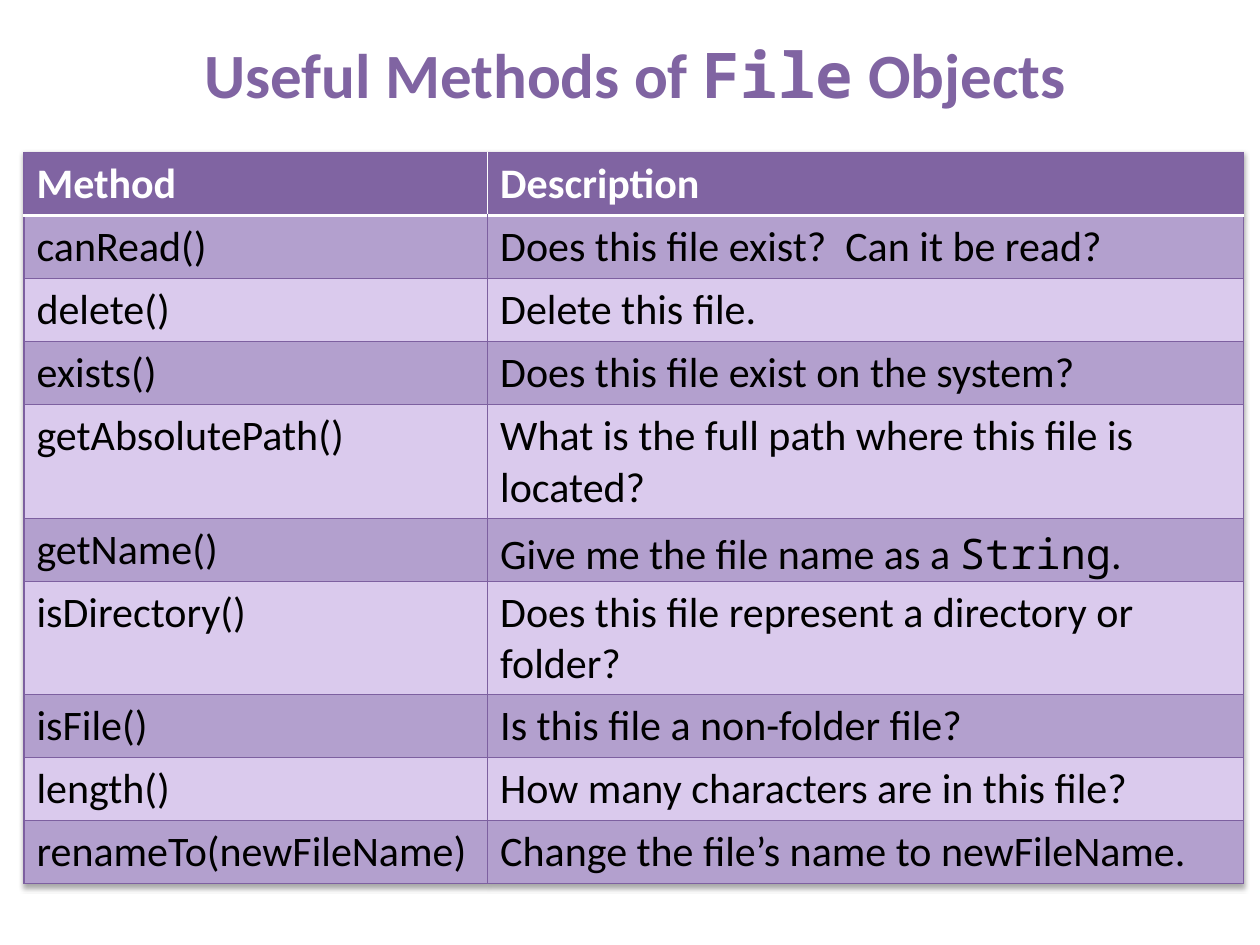
from dataclasses import dataclass
from typing import Any

from lxml.etree import SubElement
from pptx import Presentation
from pptx.dml.color import RGBColor
from pptx.enum.text import MSO_ANCHOR, MSO_AUTO_SIZE, PP_ALIGN
from pptx.oxml import parse_xml
from pptx.oxml.ns import nsdecls, qn
from pptx.util import Inches, Pt

PURPLE = RGBColor(0x80, 0x64, 0xA2)
EDGE = RGBColor(0x7D, 0x60, 0xA0)
DARK_BAND = RGBColor(0xB3, 0xA0, 0xCE)
LIGHT_BAND = RGBColor(0xDA, 0xCA, 0xED)
WHITE = RGBColor(0xFF, 0xFF, 0xFF)
BLACK = RGBColor(0x00, 0x00, 0x00)

TITLE = ["Useful Methods of ", "File", " Objects"]
HEADER = ("Method", ["Description"])
METHODS = [
    ("canRead()", ["Does this file exist?  Can it be read?"]),
    ("delete()", ["Delete this file."]),
    ("exists()", ["Does this file exist on the system?"]),
    ("getAbsolutePath()", ["What is the full path where this file is located?"]),
    ("getName()", ["Give me the file name as a ", "String", "."]),
    ("isDirectory()", ["Does this file represent a directory or folder?"]),
    ("isFile()", ["Is this file a non-folder file?"]),
    ("length()", ["How many characters are in this file?"]),
    ("renameTo(newFileName)", ["Change the file’s name to newFileName."]),
]
TALL_ROWS = {"getAbsolutePath()", "isDirectory()"}
SHADOW = (
    f'<a:effectLst {nsdecls("a")}><a:outerShdw blurRad="40000" dist="23000" '
    'dir="5400000" rotWithShape="0"><a:srgbClr val="000000">'
    '<a:alpha val="35000"/></a:srgbClr></a:outerShdw></a:effectLst>'
)


@dataclass
class Deck:
    """Style and current slide, with a method for each kind of element."""

    prs: Any
    slide: Any
    fonts: tuple = ("Calibri", "Noto Sans Mono")

    def add_runs(self, tf, pieces, color, size, bold):
        p = tf.paragraphs[0]
        for i, text in enumerate(pieces):
            r = p.add_run()
            r.text = text
            r.font.color.rgb = color
            fmt = {"name": self.fonts[i % 2], "size": Pt(size), "bold": bold}
            for key, value in fmt.items():
                setattr(r.font, key, value)
        return p

    def title(self, pieces, box):
        sp = self.slide.shapes.title
        for key, value in zip(("left", "top", "width", "height"), box):
            setattr(sp, key, Inches(value))
        tf = sp.text_frame
        fmt = {"word_wrap": True, "auto_size": MSO_AUTO_SIZE.SHAPE_TO_FIT_TEXT,
               "vertical_anchor": MSO_ANCHOR.MIDDLE}
        for key, value in fmt.items():
            setattr(tf, key, value)
        p = self.add_runs(tf, pieces, PURPLE, 36, True)
        p.alignment = PP_ALIGN.CENTER

    def border(self, cell, lines):
        tc_pr = cell._tc.get_or_add_tcPr()
        for i, side in enumerate(side for side in "LRTB" if side in lines):
            color, width = lines[side]
            ln = SubElement(tc_pr, qn(f"a:ln{side}"), w=str(Pt(width)))
            SubElement(SubElement(ln, qn("a:solidFill")), qn("a:srgbClr"), val=str(color))
            tc_pr.insert(i, ln)

    def table(self, header, rows, left, top, widths, row_height, tall_height):
        data = [header, *rows]
        heights = [tall_height if name in TALL_ROWS else row_height for name, _ in data]
        size = [Inches(v) for v in (left, top, sum(widths), sum(heights))]
        table = self.slide.shapes.add_table(len(data), len(widths), *size).table
        table._tbl.tblPr.insert(0, parse_xml(SHADOW))
        for column, width in zip(table.columns, widths):
            column.width = Inches(width)
        thin, rule = (EDGE, 0.75), (WHITE, 2)
        for i, (name, description) in enumerate(data):
            table.rows[i].height = Inches(heights[i])
            head = i == 0
            fill = PURPLE if head else (LIGHT_BAND, DARK_BAND)[i % 2]
            for j, pieces in enumerate(([name], description)):
                cell = table.cell(i, j)
                cell.fill.solid()
                cell.fill.fore_color.rgb = fill
                lines = {"L": thin, "R": thin, "T": rule if i == 1 else thin,
                         "B": rule if head else thin}
                if head:
                    del lines["RL"[j]]
                self.border(cell, lines)
                self.add_runs(cell.text_frame, pieces, WHITE if head else BLACK, 24, head)


def main():
    prs = Presentation()
    prs.slide_width, prs.slide_height = Inches(10), Inches(7.5)
    deck = Deck(prs, prs.slides.add_slide(prs.slide_layouts[5]))
    deck.title(TITLE, (0.47, 0.23, 9.14, 0.71))
    deck.table(HEADER, METHODS, left=0.19, top=1.21, widths=(3.68, 6),
               row_height=0.5, tall_height=0.9)
    prs.save("out.pptx")


if __name__ == "__main__":
    main()
